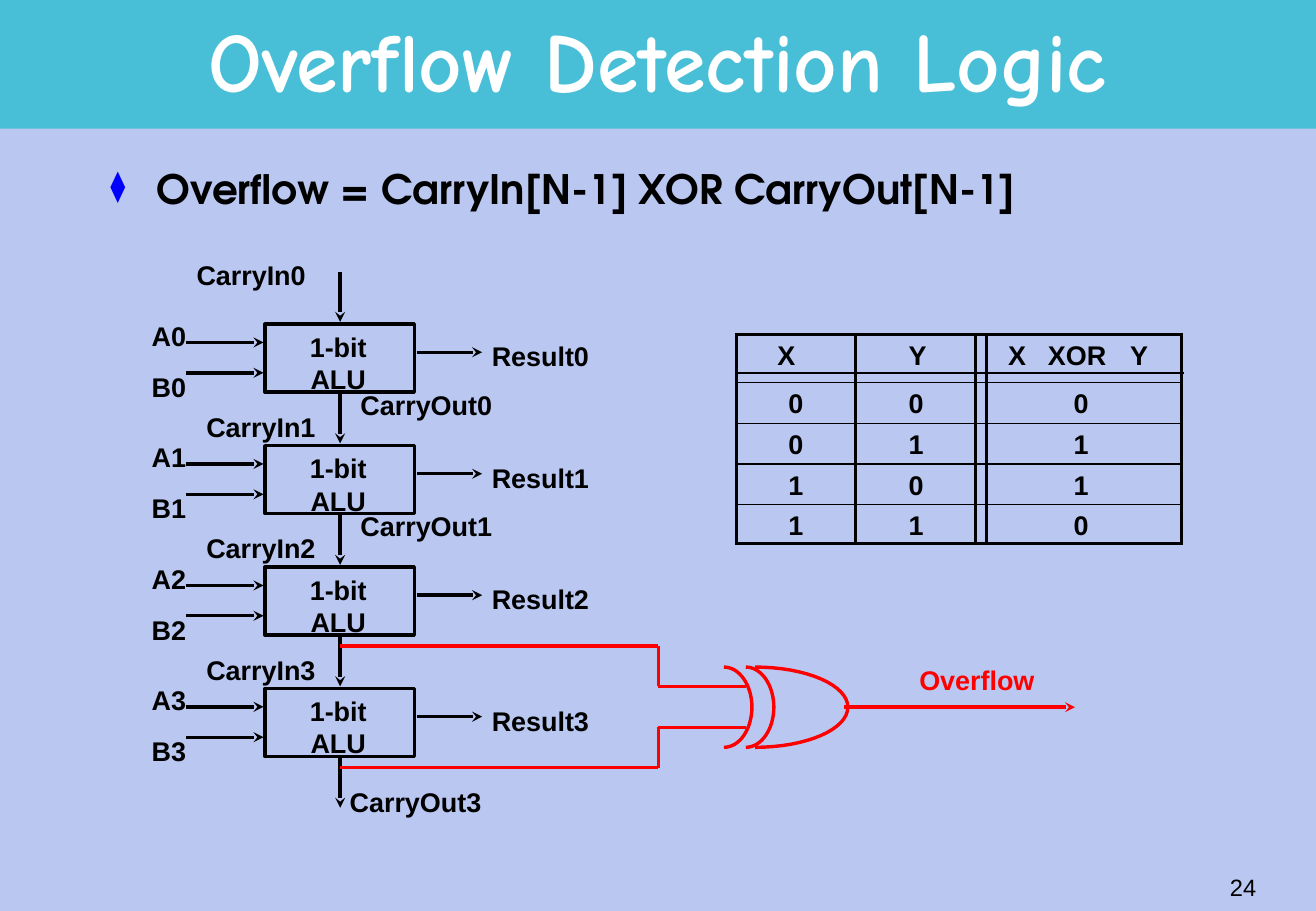
from math import cos, pi, sin

from lxml import etree
from pptx import Presentation
from pptx.dml.color import RGBColor
from pptx.enum.shapes import MSO_CONNECTOR, MSO_SHAPE
from pptx.enum.text import MSO_ANCHOR, MSO_AUTO_SIZE, PP_ALIGN
from pptx.oxml.ns import qn
from pptx.util import Pt

LEFT, MID, RIGHT = PP_ALIGN.LEFT, PP_ALIGN.CENTER, PP_ALIGN.RIGHT
TOP, CENTRE = MSO_ANCHOR.TOP, MSO_ANCHOR.MIDDLE
FIT, FIXED = MSO_AUTO_SIZE.SHAPE_TO_FIT_TEXT, MSO_AUTO_SIZE.NONE
RECT, STRAIGHT = MSO_SHAPE.RECTANGLE, MSO_CONNECTOR.STRAIGHT

# Content
TITLE = "Overflow Detection Logic"
POINT = "Overflow = CarryIn[N-1] XOR CarryOut[N-1]"
PAGE = "24"
STAGES = 4
ROWS = [("X", "Y", "X\tXOR\tY"),
        ("0", "0", "0"),
        ("0", "1", "1"),
        ("1", "0", "1"),
        ("1", "1", "0")]
COLORS = {"back": "BAC8F1", "band": "49BFD7", "ink": "000000",
          "alert": "FF0000", "bullet": "0000FF", "title": "FFFFFF"}

# Layout in points
WIDE, HIGH, LABEL = 780, 540, 26.6
PITCH = 72
AXIS = 201.6
GRID = (436.3, 198)
COLS = (70.6, 71.2, 122.4)
TALL = (28.8, 24.2, 24, 24, 23)
INSETS = [(24.5, 31.7, 19.4)] + [(31, 31.7, 58.3)] * 4
TABS = (23.7, 72.3)
GATE = 419.2
ARCS = [(447.6, 55), (442.1, 16.6), (429.1, 16.6)]  # centre x, radius x
RISE = 23.8

prs = Presentation()
prs.slide_width, prs.slide_height = Pt(WIDE), Pt(HIGH)
slide = prs.slides.add_slide(prs.slide_layouts[5])
shapes = slide.shapes


def rgb(name):
    return RGBColor.from_string(COLORS[name])


def add(parent, tag, **attrs):
    return etree.SubElement(parent, qn(tag), attrs)


def write(frame, text, size=16, font="Arial", color="ink", bold=True,
          align=LEFT, space=None):
    for i, line in enumerate(text.split("\n")):
        para = frame.add_paragraph() if i else frame.paragraphs[0]
        para.alignment = align
        if space:
            para.line_spacing = space
        run = para.add_run()
        run.text = line
        run.font.size, run.font.name, run.font.bold = Pt(size), font, bold
        run.font.color.rgb = rgb(color)


def label(text, x, y, w, h=LABEL, wrap=False, fit=FIT, anchor=TOP, **style):
    frame = shapes.add_textbox(Pt(x), Pt(y), Pt(w), Pt(h)).text_frame
    frame.word_wrap, frame.auto_size = wrap, fit
    frame.vertical_anchor = anchor
    write(frame, text, **style)
    return frame


def box(x, y, w, h):
    shape = shapes.add_shape(RECT, Pt(x), Pt(y), Pt(w), Pt(h))
    shape.shadow.inherit = False
    return shape


def ink(shape, color="ink", width=2):
    shape.line.color.rgb = rgb(color)
    shape.line.width = Pt(width)


def wire(*stops, color="ink", width=2, arrow=False):
    for (x1, y1), (x2, y2) in zip(stops, stops[1:]):
        link = shapes.add_connector(STRAIGHT, Pt(x1), Pt(y1), Pt(x2), Pt(y2))
        ink(link, color, width)
        if arrow:
            add(link.line._get_or_add_ln(), "a:tailEnd", type="stealth")
        add(link._element.spPr, "a:effectLst")


def border(cell, sides):
    props = cell._tc.get_or_add_tcPr()
    for i, (side, width) in enumerate(sides):
        edge = add(props, "a:ln" + side, w=str(Pt(width)))
        add(add(edge, "a:solidFill"), "a:srgbClr", val=COLORS["ink"])
        props.insert(i, edge)


# Background, band and title
slide.background.fill.solid()
slide.background.fill.fore_color.rgb = rgb("back")
band = box(0, 0, WIDE, 76.3)
band.fill.solid()
band.fill.fore_color.rgb = rgb("band")
band.line.fill.background()
shapes._spTree.insert(2, band._element)

title = shapes.title
title.left, title.top, title.width, title.height = map(Pt, (58.3, 3.6, 663.1, 71.3))
title.text_frame.auto_size = FIXED
title.text_frame.vertical_anchor = CENTRE
write(title.text_frame, TITLE, size=50, font="Comic Neue", color="title",
      align=MID, space=0.85)

# Bullet line
point = label(POINT, 58.3, 97.2, 663.1, 40, wrap=True, fit=FIXED, size=24,
              font="TeX Gyre Adventor", space=0.9)
props = point.paragraphs[0]._p.get_or_add_pPr()
props.set("marL", str(Pt(27.4)))
props.set("indent", str(Pt(-27.4)))
add(add(props, "a:buClr"), "a:srgbClr", val=COLORS["bullet"])
add(props, "a:buSzPct", val="75000")
add(props, "a:buChar", char="⧫")

# Chain of ALU stages
for n in range(STAGES):
    y = n * PITCH
    label(f"A{n}", 82.8, 185.8 + y, 37.4)
    label(f"B{n}", 82.8, 216 + y, 37.4)
    alu = box(157, 192.2 + y, 88.6, 40.3)
    alu.fill.background()
    ink(alu)
    label("1-bit\nALU", 174.2, 192.2 + y, 52.6, 46, align=MID)
    wire((247, 208.8 + y), (285.8, 208.8 + y), arrow=True)
    for pin in (203, 221):
        wire((110.2, pin + y), (156.2, pin + y), arrow=True)
    label(f"Result{n}", 284.4, 198 + y, 78.5)
    into = (115.2, 167.8 + y) if n else (109.4, 149.8)
    label(f"CarryIn{n}", *into, 85.7)
for n in range(STAGES + 1):
    wire((AXIS, 161.3 + n * PITCH), (AXIS, 190.8 + n * PITCH), arrow=True)
for n, x, y in [(0, 206.6, 226.8), (1, 206.6, 298.8), (3, 200.2, 462.2)]:
    label(f"CarryOut{n}", x, y, 100.8)

# XOR gate and its wires
for start, pin in [(383, 406.9), (455, 431.2)]:
    wire((AXIS, start), (390.2, start), (390.2, pin), (442.1, pin), color="alert")
for x, reach in ARCS:
    turns = [pi * (i / 32 - 0.5) for i in range(33)]
    dots = [(Pt(x + reach * cos(t)), Pt(GATE + RISE * sin(t))) for t in turns]
    pen = shapes.build_freeform(*dots[0])
    pen.add_line_segments(dots[1:], close=False)
    arc = pen.convert_to_shape()
    arc.shadow.inherit = False
    arc.fill.background()
    ink(arc, "alert")
wire((500.4, GATE), (637.2, GATE), color="alert", arrow=True)
label("Overflow", 537.8, 389.5, 82.8, color="alert")

# Truth table
table = shapes.add_table(len(ROWS), len(COLS), *map(Pt, GRID),
                         Pt(sum(COLS)), Pt(sum(TALL))).table
table.first_row = table.horz_banding = False
for column, width in zip(table.columns, COLS):
    column.width = Pt(width)
for r, row in enumerate(ROWS):
    table.rows[r].height = Pt(TALL[r])
    for c, text in enumerate(row):
        cell = table.cell(r, c)
        cell.margin_left, cell.margin_top = Pt(INSETS[r][c]), Pt(4.2)
        cell.margin_right = cell.margin_bottom = 0
        cell.fill.background()
        write(cell.text_frame, text)
        border(cell, [("L", 2), ("R", 2), ("T", 1 if r else 2),
                      ("B", 2 if r == len(ROWS) - 1 else 1)])
stops = add(table.cell(0, 2).text_frame.paragraphs[0]._p.get_or_add_pPr(), "a:tabLst")
for tab in TABS:
    add(stops, "a:tab", pos=str(Pt(tab)), algn="l")

# Second strokes of the double rules
wire((435.6, 221), (702, 221), width=1)
wire((584.6, 197.3), (584.6, 323.3))

# Page number
label(PAGE, 589, 507.6, 162.7, 36, fit=FIXED, anchor=CENTRE, size=14,
      bold=False, align=RIGHT)

prs.save("out.pptx")
